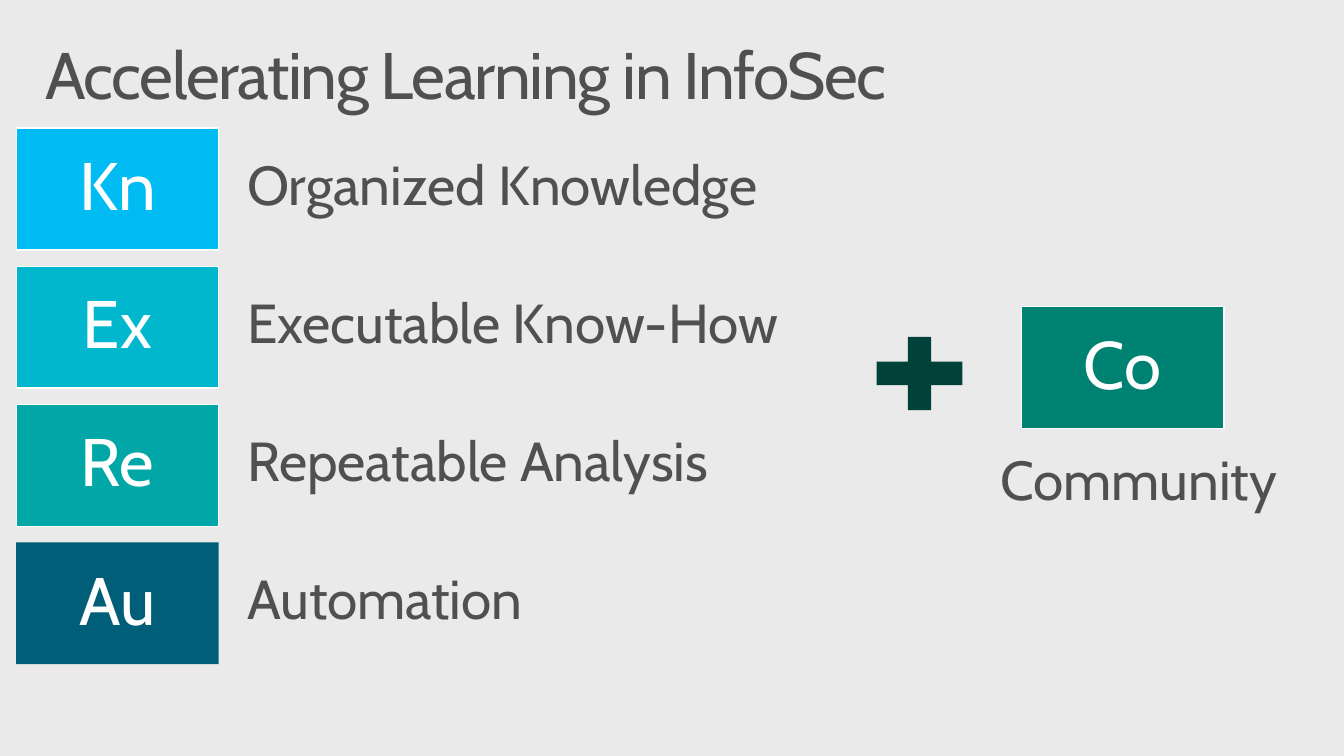
from pptx import Presentation
from pptx.dml.color import RGBColor
from pptx.enum import shapes, text
from pptx.util import Inches, Pt

FONT = "Cabin"
BACKGROUND = RGBColor(0xEA, 0xEA, 0xEA)
GRAY = RGBColor(0x50, 0x50, 0x50)
WHITE = RGBColor(0xFF, 0xFF, 0xFF)
SKY = RGBColor(0x00, 0xBC, 0xF2)
CYAN = RGBColor(0x00, 0xB7, 0xCD)
TEAL = RGBColor(0x00, 0xA7, 0xA6)
NAVY = RGBColor(0x00, 0x5E, 0x79)
GREEN = RGBColor(0x00, 0x82, 0x72)
DARK_GREEN = RGBColor(0x00, 0x41, 0x39)

# Symbol, label, tile colour, tile outline
ELEMENTS = [
    ("Kn", "Organized Knowledge", SKY, WHITE),
    ("Ex", "Executable Know-How", CYAN, WHITE),
    ("Re", "Repeatable Analysis", TEAL, WHITE),
    ("Au", "Automation", NAVY, None),
]
FIRST_TOP, ROW_STEP = 1.27, 1.37


def write(shape, words, size, color, margins):
    """Put one line of styled text into a shape and return its run."""
    frame = shape.text_frame
    frame.word_wrap = True
    frame.margin_left = frame.margin_right = Inches(margins[0])
    frame.margin_top = frame.margin_bottom = Inches(margins[1])
    frame.text = words
    paragraph = frame.paragraphs[0]
    paragraph.line_spacing = 0.9
    run = paragraph.runs[0]
    run.font.name = FONT
    run.font.size = Pt(size)
    run.font.color.rgb = color
    return run


def add_text(slide, words, left, top, width, height, size):
    box = slide.shapes.add_textbox(
        Inches(left), Inches(top), Inches(width), Inches(height))
    return write(box, words, size, GRAY, (0.16, 0.1))


def add_filled(slide, kind, left, top, width, height, fill, outline=None):
    shape = slide.shapes.add_shape(
        kind, Inches(left), Inches(top), Inches(width), Inches(height))
    shape.shadow.inherit = False
    shape.fill.solid()
    shape.fill.fore_color.rgb = fill
    if outline is None:
        shape.line.fill.background()
    else:
        shape.line.color.rgb = outline
        shape.line.width = Pt(0.85)
    return shape


def add_tile(slide, symbol, left, top, fill, outline):
    tile = add_filled(slide, shapes.MSO_SHAPE.RECTANGLE,
                      left, top, 2.01, 1.21, fill, outline)
    write(tile, symbol, 48, WHITE, (0.2, 0.2))
    tile.text_frame.vertical_anchor = text.MSO_ANCHOR.MIDDLE
    tile.text_frame.paragraphs[0].alignment = text.PP_ALIGN.CENTER


def main():
    presentation = Presentation()
    presentation.slide_width = Inches(13.33)
    presentation.slide_height = Inches(7.5)
    slide = presentation.slides.add_slide(presentation.slide_layouts[6])
    slide.background.fill.solid()
    slide.background.fill.fore_color.rgb = BACKGROUND

    # Title, with slightly tightened letters
    title = add_text(slide, "Accelerating Learning in InfoSec",
                     0.29, 0.32, 12.75, 0.98, 47)
    title.font._element.set("spc", "-100")

    # Column of elements
    for row, (symbol, label, fill, outline) in enumerate(ELEMENTS):
        top = FIRST_TOP + row * ROW_STEP
        add_text(slide, label, 2.29, top + 0.2, 9.19, 0.8, 39.2)
        add_tile(slide, symbol, 0.16, top, fill, outline)

    # Plus community
    add_filled(slide, shapes.MSO_SHAPE.MATH_PLUS,
               8.54, 3.21, 1.16, 0.99, DARK_GREEN)
    add_tile(slide, "Co", 10.13, 3.04, GREEN, WHITE)
    add_text(slide, "Community", 9.76, 4.4, 3.09, 0.8, 39.2)

    presentation.save("out.pptx")


if __name__ == "__main__":
    main()
